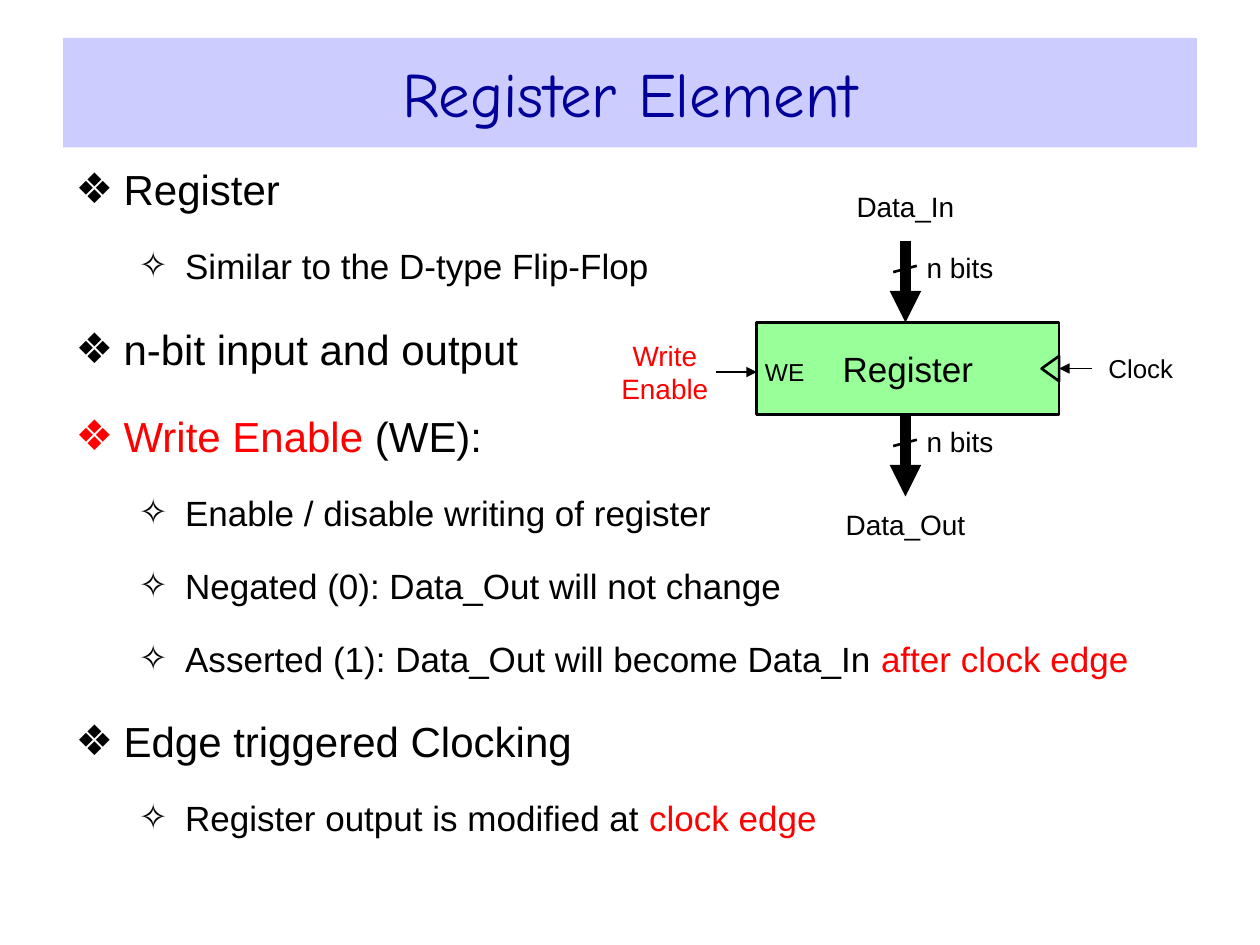
from lxml.etree import SubElement
from pptx import Presentation
from pptx.dml.color import RGBColor
from pptx.enum.shapes import MSO_CONNECTOR, MSO_SHAPE
from pptx.enum.text import MSO_ANCHOR, MSO_AUTO_SIZE, PP_ALIGN
from pptx.oxml.ns import qn
from pptx.util import Pt

BLACK = RGBColor(0x00, 0x00, 0x00)
RED = RGBColor(0xFF, 0x00, 0x00)
NAVY = RGBColor(0x00, 0x00, 0x99)
LAVENDER = RGBColor(0xCC, 0xCC, 0xFF)
GREEN = RGBColor(0x99, 0xFF, 0x99)

# Bullet, text size, left margin, first-line indent and space before, by level
LEVELS = [
    ("❖", 24, 27.4, -27.4, 21),
    ("✧", 20, 62.6, -26.6, 17.5),
]

# Level, then (text, colour) runs
POINTS = [
    (0, [("Register", BLACK)]),
    (1, [("Similar to the D-type Flip-Flop", BLACK)]),
    (0, [("n-bit input and output", BLACK)]),
    (0, [("Write Enable", RED), (" (WE):", BLACK)]),
    (1, [("Enable / disable writing of register", BLACK)]),
    (1, [("Negated (0): Data_Out will not change", BLACK)]),
    (1, [("Asserted (1): Data_Out will become Data_In ", BLACK),
         ("after clock edge", RED)]),
    (0, [("Edge triggered Clocking", BLACK)]),
    (1, [("Register output is modified at ", BLACK), ("clock edge", RED)]),
]


def place(shape, box):
    shape.left, shape.top, shape.width, shape.height = map(Pt, box)


def add_run(paragraph, text, size, color=BLACK, font="Arial"):
    run = paragraph.add_run()
    run.text = text
    run.font.size = Pt(size)
    run.font.name = font
    run.font.color.rgb = color


def set_bullet(paragraph, character, color, margin, indent):
    properties = paragraph._p.get_or_add_pPr()
    properties.set("marL", str(Pt(margin)))
    properties.set("indent", str(Pt(indent)))
    bullet_color = SubElement(properties, qn("a:buClr"))
    SubElement(bullet_color, qn("a:srgbClr"), val=str(color))
    SubElement(properties, qn("a:buChar"), char=character)


def write_lines(shape, lines, size, color=BLACK, align=PP_ALIGN.CENTER,
                side=0, wrap=True):
    frame = shape.text_frame
    frame.word_wrap = wrap
    frame.vertical_anchor = MSO_ANCHOR.MIDDLE
    frame.margin_left = frame.margin_right = Pt(side)
    for index, line in enumerate(lines):
        paragraph = frame.add_paragraph() if index else frame.paragraphs[0]
        paragraph.alignment = align
        add_run(paragraph, line, size, color)


def add_label(shapes, box, lines, size=16, **options):
    write_lines(shapes.add_textbox(*map(Pt, box)), lines, size, **options)


def add_block(shapes, preset, box):
    shape = shapes.add_shape(preset, *map(Pt, box))
    shape.shadow.inherit = False
    shape.fill.solid()
    shape.fill.fore_color.rgb = GREEN
    shape.line.color.rgb = BLACK
    shape.line.width = Pt(1.5)
    return shape


def add_line(shapes, start, end, width, arrow=False):
    line = shapes.add_connector(MSO_CONNECTOR.STRAIGHT, *map(Pt, start + end))
    line.line.color.rgb = BLACK
    line.line.width = Pt(width)
    if arrow:
        SubElement(line.line._get_or_add_ln(), qn("a:tailEnd"), type="triangle")
    SubElement(line._element.spPr, qn("a:effectLst"))


def fill_title(slide, box):
    title = slide.shapes.title
    place(title, box)
    title.fill.solid()
    title.fill.fore_color.rgb = LAVENDER
    frame = title.text_frame
    frame.auto_size = MSO_AUTO_SIZE.NONE
    frame.vertical_anchor = MSO_ANCHOR.MIDDLE
    frame.paragraphs[0].alignment = PP_ALIGN.CENTER
    add_run(frame.paragraphs[0], "Register Element", 36, NAVY, "Comic Neue")


def fill_list(slide, box):
    body = slide.placeholders[1]
    place(body, box)
    frame = body.text_frame
    frame.auto_size = MSO_AUTO_SIZE.NONE
    for index, (level, runs) in enumerate(POINTS):
        character, size, margin, indent, space = LEVELS[level]
        paragraph = frame.add_paragraph() if index else frame.paragraphs[0]
        paragraph.level = level
        paragraph.space_before = Pt(space if index else 0)
        set_bullet(paragraph, character, runs[0][1], margin, indent)
        for text, color in runs:
            add_run(paragraph, text, size, color)


def draw_register(slide, box):
    left, top, width, height = box
    shapes = slide.shapes.add_group_shape().shapes

    # Register block
    block_left, block_top = left + 81, top + 79.3
    block_width, block_height = 172.8, 52.6
    block_right = block_left + block_width
    block_bottom = block_top + block_height
    middle = block_top + block_height / 2
    block = add_block(shapes, MSO_SHAPE.RECTANGLE,
                      (block_left, block_top, block_width, block_height))
    write_lines(block, ["Register"], 20)

    # Data buses, each with a slash and its width
    bus = left + 166
    bus_length = 46.8
    for start in (block_top - bus_length, block_bottom):
        add_line(shapes, (bus, start), (bus, start + bus_length), 6, arrow=True)
        add_line(shapes, (bus + 6.5, start + 14.4), (bus - 7, start + 18), 1.5)
        add_label(shapes, (bus + 5, start + 2.2, 53, 26), ["n bits"],
                  align=PP_ALIGN.LEFT, side=7.2, wrap=False)
    label_width, label_height = 86, 26
    for text, label_top in (("Data_In", top),
                            ("Data_Out", top + height - label_height)):
        add_label(shapes, (bus - label_width / 2, label_top,
                           label_width, label_height), [text])

    # Clock input
    add_line(shapes, (left + 272.5, middle), (block_right, middle), 1, arrow=True)
    base, depth = 14.4, 10
    notch = add_block(shapes, MSO_SHAPE.ISOSCELES_TRIANGLE,
                      (block_right - (depth + base) / 2, middle - depth / 2,
                       base, depth))
    notch.rotation = 270
    clock_width = 55
    add_label(shapes, (left + width - clock_width, middle - 13, clock_width, 26),
              ["Clock"], 14.8)

    # Write enable input
    enable = middle + 2
    add_line(shapes, (left + 58, enable), (block_left, enable), 0.75, arrow=True)
    add_label(shapes, (left, enable - 22.5, 57, 45), ["Write", "Enable"], color=RED)
    add_label(shapes, (block_left, enable - 12, 32, 24), ["WE"], 14)


def main():
    presentation = Presentation()
    presentation.slide_width, presentation.slide_height = Pt(720), Pt(540)
    slide = presentation.slides.add_slide(presentation.slide_layouts[1])
    fill_title(slide, (36, 21.6, 648, 62.6))
    fill_list(slide, (36, 90, 648, 405))
    draw_register(slide, (351.4, 105, 328, 207.6))
    presentation.save("out.pptx")


if __name__ == "__main__":
    main()
